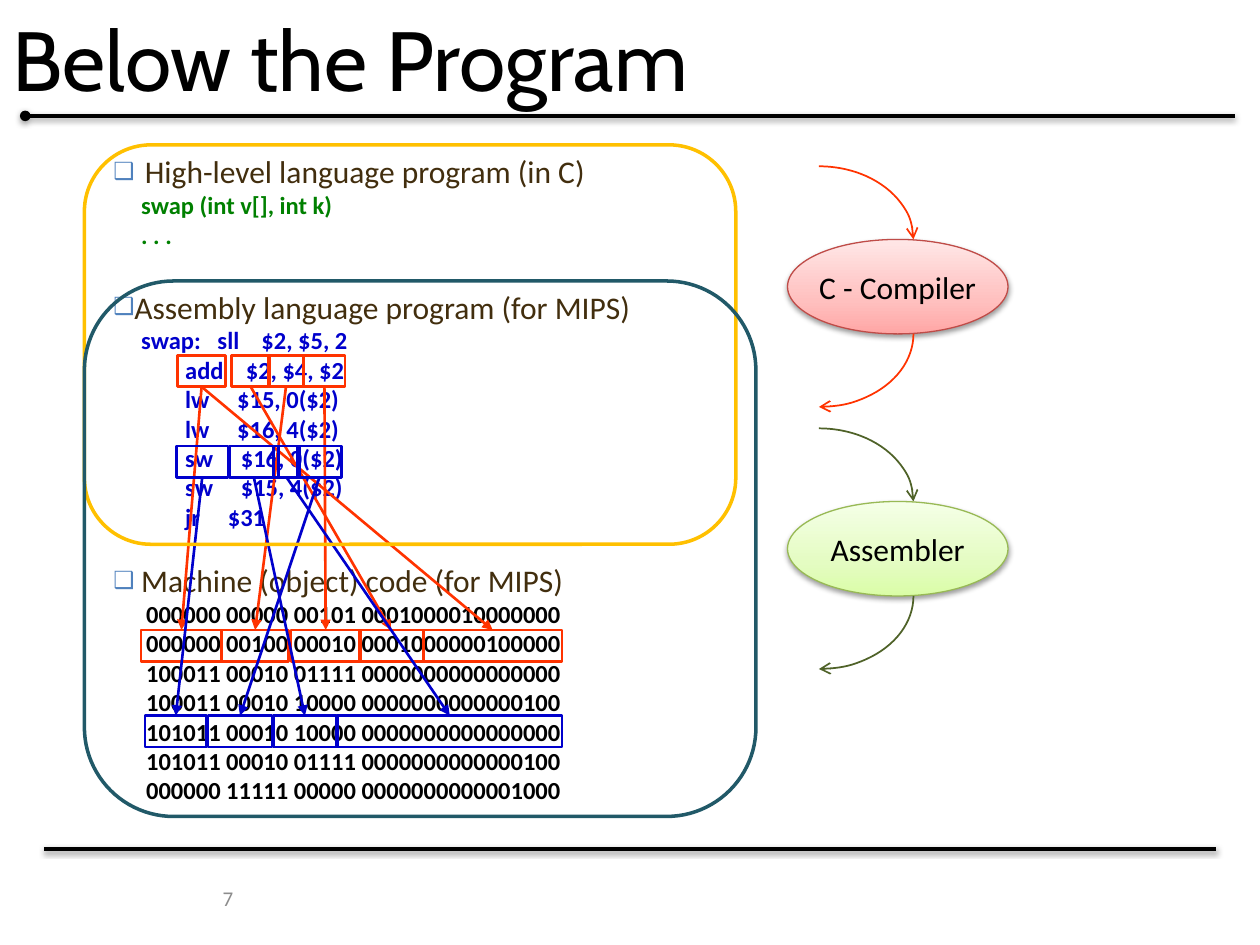
"""Build the slide on the levels of code below a program."""
from copy import deepcopy
from dataclasses import dataclass

from lxml.etree import SubElement as Sub
from pptx import Presentation
from pptx.dml.color import RGBColor
from pptx.enum.shapes import MSO_CONNECTOR as Link, MSO_SHAPE as Kind
from pptx.enum.text import MSO_ANCHOR as Anchor, MSO_AUTO_SIZE as Fit, PP_ALIGN as Align
from pptx.oxml.ns import qn
from pptx.util import Inches, Pt


@dataclass
class Theme:
    black: str = "000000"
    gray: str = "8C8C8C"
    brown: str = "422E0E"
    green: str = "008000"
    blue: str = "0000CC"
    red: str = "FF3300"
    olive: str = "4F6228"
    gold: str = "FFC000"
    teal: str = "215968"
    mark: str = "4F81BD"
    rose: tuple = ("FFA6A5", "FFC0BF", "FFE7E7")
    lime: tuple = ("DAFDA7", "E4FCC2", "F5FFE7")
    rim: tuple = ("BF4C48", "98B955")
    head: int = 48
    item: int = 18
    code: int = 14
    page: int = 12


def trace(shape, color, width, head=None, tail=None, drop=0):
    shape.line.color.rgb = RGBColor.from_string(color)
    shape.line.width = Pt(width)
    line = shape.line._get_or_add_ln()
    for tag, end in (("a:headEnd", head), ("a:tailEnd", tail)):
        if end:
            Sub(line, qn(tag), type=end)
    spot = shape._element.spPr
    for old in spot.findall(qn("a:effectLst")):
        spot.remove(old)
    effect = Sub(spot, qn("a:effectLst"))
    if drop:
        cast = Sub(effect, qn("a:outerShdw"), blurRad=str(Pt(3.1)), dist=str(Pt(drop)),
                   dir="5400000", rotWithShape="0")
        Sub(Sub(cast, qn("a:srgbClr"), val=theme.black), qn("a:alpha"), val="38000")


def style(font, size, color, face="Calibri", bold=False):
    font.size, font.name, font.bold = Pt(size), face, bold
    font.color.rgb = RGBColor.from_string(color)


theme = Theme()
deck = Presentation()
deck.slide_width, deck.slide_height = Inches(10), Inches(7.5)
slide = deck.slides.add_slide(deck.slide_layouts[1])
shapes = slide.shapes

for left, right, y, head in ((0.2, 9.8, 0.92, "oval"), (0.35, 9.65, 6.74, None)):
    rule = shapes.add_connector(Link.STRAIGHT, Inches(left), Inches(y), Inches(right), Inches(y))
    trace(rule, theme.black, 2, head=head, drop=1)

title = shapes.title
title.left, title.top, title.width, title.height = 0, 0, Inches(10), Inches(0.92)
frame = title.text_frame
frame.text = "Below the Program"
frame.auto_size, frame.vertical_anchor = Fit.NONE, Anchor.MIDDLE
frame.paragraphs[0].alignment = Align.LEFT
style(frame.paragraphs[0].runs[0].font, theme.head, theme.black, "Cabin")

page = shapes.add_textbox(Inches(0.03), Inches(6.99), Inches(1.92), Inches(0.27))
frame = page.text_frame
frame.word_wrap, frame.vertical_anchor = True, Anchor.MIDDLE
frame.text = "7"
frame.paragraphs[0].alignment = Align.RIGHT
style(frame.paragraphs[0].runs[0].font, theme.page, theme.gray)

parts = (
    ("High-level language program (in C)", 0.25, 0, theme.green, (
        (0.22, "swap (int v[], int k)"), (0.22, ". . ."))),
    ("Assembly language program (for MIPS)", 0.16, 22, theme.blue, (
        (0.22, "swap:   sll    $2, $5, 2"),
        (0.57, "add    $2, $4, $2"),
        (0.57, "lw     $15, 0($2)"),
        (0.57, "lw     $16, 4($2)"),
        (0.57, "sw     $16, 0($2)"),
        (0.57, "sw     $15, 4($2)"),
        (0.57, "jr     $31"))),
    ("Machine (object) code (for MIPS)", 0.22, 17, theme.black, (
        (0.26, "000000 00000 00101 0001000010000000"),
        (0.26, "000000 00100 00010 0001000000100000"),
        (0.26, "100011 00010 01111 0000000000000000"),
        (0.26, "100011 00010 10000 0000000000000100"),
        (0.26, "101011 00010 10000 0000000000000000"),
        (0.26, "101011 00010 01111 0000000000000100"),
        (0.26, "000000 11111 00000 0000000000001000"))),
)
rows = []
for name, inset, gap, color, codes in parts:
    rows.append((name, inset, gap, theme.brown, True))
    rows += [(code, shift, 0, color, False) for shift, code in codes]

body = slide.placeholders[1]
body.left, body.top, body.width, body.height = map(Inches, (0.83, 1.15, 7, 5.31))
frame = body.text_frame
frame.auto_size, frame.vertical_anchor = Fit.NONE, Anchor.TOP
frame.margin_left = frame.margin_right = Inches(0.07)
frame.margin_top, frame.margin_bottom = Inches(0.06), Inches(0.03)
frame.text = "\n".join(row[0] for row in rows)
for para, (name, inset, gap, color, item) in zip(frame.paragraphs, rows):
    para.line_spacing, para.space_before, para.space_after = 1.0, Pt(gap), Pt(0)
    props = para._p.get_or_add_pPr()
    props.set("marL", str(Inches(inset)))
    props.set("indent", str(-Inches(inset) if item else 0))
    if item:
        Sub(Sub(props, qn("a:buClr")), qn("a:srgbClr"), val=theme.mark)
        Sub(props, qn("a:buSzPct"), val="75000")
        Sub(props, qn("a:buChar"), char="❑")
    else:
        Sub(props, qn("a:buNone"))
    style(para.runs[0].font, theme.item if item else theme.code, color, bold=not item)

tools = (
    ("C - Compiler", 1.9, theme.rose, theme.rim[0], theme.red),
    ("Assembler", 3.98, theme.lime, theme.rim[1], theme.olive),
)
for name, top, shades, rim, color in tools:
    oval = shapes.add_shape(Kind.OVAL, Inches(6.25), Inches(top), Inches(1.75), Inches(0.75))
    oval.fill.gradient()
    oval.fill.gradient_angle = 90
    stops = oval._element.spPr.find(".//" + qn("a:gsLst"))
    stops.append(deepcopy(stops[0]))
    for stop, spot, shade in zip(oval.fill.gradient_stops, (0, 0.35, 1), shades):
        stop.position = spot
        stop.color.rgb = RGBColor.from_string(shade)
    trace(oval, rim, 0.75, drop=1.6)
    frame = oval.text_frame
    frame.word_wrap, frame.vertical_anchor = False, Anchor.MIDDLE
    frame.text = name
    frame.paragraphs[0].alignment = Align.CENTER
    style(frame.paragraphs[0].runs[0].font, theme.item, theme.black)
    for y, start, end in ((top - 0.58, 162, 0), (top + 0.17, 0, 54)):
        arc = shapes.add_shape(Kind.ARC, Inches(5.75), Inches(y), Inches(1.5), Inches(1.16))
        arc.adjustments[0], arc.adjustments[1] = start, end
        arc.fill.background()
        trace(arc, color, 1, tail="arrow")

fields = (
    (theme.red,
     (2.82, ((1.41, 0.38), (1.84, 0.3), (2.13, 0.28), (2.41, 0.33))),
     (5, ((1.12, 0.64), (1.76, 0.53), (2.31, 0.55), (2.85, 0.51), (3.36, 1.1))),
     ((0, 0), (0, 4), (1, 3), (2, 1), (3, 2))),
    (theme.blue,
     (3.54, ((1.4, 0.41), (1.82, 0.39), (2.17, 0.21), (2.36, 0.35))),
     (5.68, ((1.15, 0.49), (1.65, 0.51), (2.17, 0.5), (2.68, 1.78))),
     ((0, 0), (1, 2), (2, 3), (3, 1))),
)
for color, source, target, pairs in fields:
    bands = []
    for y, cells in (source, target):
        band = []
        for x, width in cells:
            box = shapes.add_shape(Kind.RECTANGLE, Inches(x), Inches(y), Inches(width), Inches(0.25))
            box.fill.background()
            trace(box, color, 1.5)
            band.append(box)
        bands.append(band)
    for start, end in pairs:
        arrow = shapes.add_connector(Link.STRAIGHT, 0, 0, 0, 0)
        arrow.begin_connect(bands[0][start], 2)
        arrow.end_connect(bands[1][end], 0)
        trace(arrow, color, 1.5, tail="triangle")

for y, width, height, color in ((1.15, 5.17, 3.17, theme.gold), (2.23, 5.33, 4.25, theme.teal)):
    ring = shapes.add_shape(Kind.ROUNDED_RECTANGLE, Inches(0.67), Inches(y), Inches(width), Inches(height))
    ring.fill.background()
    trace(ring, color, 2)

deck.save("out.pptx")
